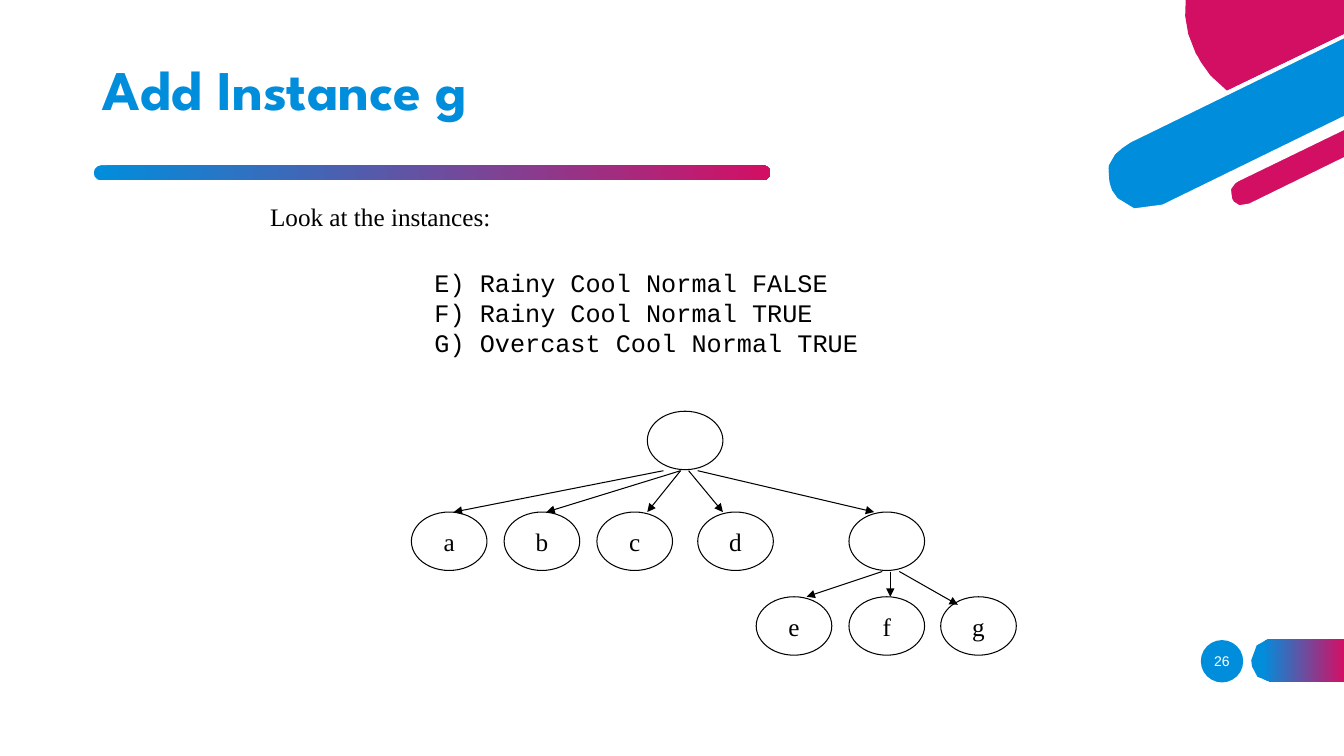
"""Build the slide that adds instance g to a clustering tree."""
from lxml.etree import SubElement
from pptx import Presentation
from pptx.dml.color import RGBColor
from pptx.enum.shapes import MSO_CONNECTOR, MSO_SHAPE
from pptx.enum.text import MSO_ANCHOR, PP_ALIGN
from pptx.oxml.ns import qn
from pptx.util import Inches, Pt

OVAL, ROUND = MSO_SHAPE.OVAL, MSO_SHAPE.ROUNDED_RECTANGLE
LINE = MSO_CONNECTOR.STRAIGHT
MIDDLE, TOP = MSO_ANCHOR.MIDDLE, MSO_ANCHOR.TOP
CENTER, LEFT = PP_ALIGN.CENTER, PP_ALIGN.LEFT
BLUE = RGBColor(0x00, 0x8E, 0xDC)
PINK = RGBColor(0xD3, 0x0F, 0x64)
WHITE = RGBColor(255, 255, 255)
BLACK = RGBColor(0, 0, 0)

SERIF = dict(name="Times New Roman", size=Pt(18), color=BLACK)
CODE = dict(name="Courier New", size=Pt(18), color=BLACK)
HEAD = dict(name="League Spartan", size=Pt(40), color=BLUE, bold=True)
PAGE = dict(name="Arial", size=Pt(10), color=WHITE)

TEXTS = [
    ((11.82, 6.36, 0.6, 0.4), ["26"], PAGE, MIDDLE, CENTER, True),
    ((0.92, 0.4, 9.9, 1.03), ["Add Instance g"], HEAD, MIDDLE, LEFT, True, 0.9),
    ((2.58, 1.95, 2.41, 0.4), ["Look at the instances:"], SERIF, TOP, LEFT, False),
    ((4.21, 2.6, 4.42, 1.01),
     ["E) Rainy Cool Normal FALSE",
      "F) Rainy Cool Normal TRUE",
      "G) Overcast Cool Normal TRUE"], CODE, TOP, LEFT, False),
]
NODE = (0.75, 0.58)
LEVELS = [
    (4.08, [(6.42, "")]),
    (5.08, [(4.08, "a"), (5, "b"), (5.92, "c"), (6.92, "d"), (8.42, "")]),
    (5.92, [(7.5, "e"), (8.42, "f"), (9.33, "g")]),
]
FANS = [
    (4.67, [(6.58, 4.5, 5.08), (6.75, 5.42, 5.08), (6.75, 6.42, 5.08),
            (6.83, 7.17, 5.08), (6.92, 8.67, 5.08)]),
    (5.67, [(8.75, 8, 5.92), (8.83, 8.83, 5.92), (8.92, 9.5, 6)]),
]
TAB = [(12.62, 6.77), (13.33, 6.77), (13.33, 6.34), (12.62, 6.34),
       (12.62, 6.34, 12.41, 6.34, 12.41, 6.55),
       (12.41, 6.56, 12.41, 6.77, 12.62, 6.77)]
SHAPES = [
    (WHITE, [(13.33, 0.81), (13.06, 0.94), (12.74, 1.1, 12.44, 1.08, 12.19, 0.89),
             (11.99, 0.74, 11.89, 0.55, 11.89, 0.55),
             (11.79, 0.34, 11.75, 0.16, 11.78, 0), (11.74, 0),
             (11.71, 0.17, 11.75, 0.35, 11.84, 0.54),
             (11.86, 0.58, 11.96, 0.77, 12.16, 0.92),
             (12.28, 1.01, 12.44, 1.09, 12.65, 1.09),
             (12.77, 1.09, 12.91, 1.06, 13.08, 0.98), (13.33, 0.86)]),
    (BLUE, [(11.21, 1.39), (11.21, 1.39, 10.85, 1.57, 11.01, 1.89),
            (11.01, 1.9, 11.17, 2.22, 11.54, 2.04), (13.33, 1.17), (13.33, 0.36)]),
    (PINK, [(11.88, 0.56), (11.88, 0.56, 11.97, 0.76, 12.17, 0.9), (13.33, 0.34),
            (13.33, 0), (11.76, 0), (11.74, 0.15, 11.76, 0.33, 11.86, 0.53)]),
    (PINK, [(13.33, 1.26), (12.27, 1.78), (12.27, 1.78, 12.13, 1.85, 12.2, 1.97),
            (12.2, 1.98, 12.26, 2.11, 12.4, 2.04), (13.33, 1.58)]),
    (WHITE, [(12.39, 2.02), (12.27, 2.08, 12.22, 1.98, 12.22, 1.97),
             (12.16, 1.86, 12.28, 1.8, 12.28, 1.8), (13.33, 1.29), (13.33, 1.24),
             (12.26, 1.76), (12.26, 1.76, 12.19, 1.8, 12.17, 1.87),
             (12.15, 1.91, 12.16, 1.95, 12.18, 1.99),
             (12.2, 2.03, 12.25, 2.08, 12.32, 2.08),
             (12.35, 2.08, 12.38, 2.08, 12.41, 2.06), (13.33, 1.61), (13.33, 1.56)]),
    (WHITE, [(11.53, 2.03), (11.19, 2.19, 11.03, 1.9, 11.03, 1.89),
             (10.96, 1.75, 10.97, 1.64, 11.06, 1.53),
             (11.13, 1.46, 11.22, 1.41, 11.22, 1.41), (13.33, 0.38), (13.33, 0.34),
             (11.2, 1.37), (11.19, 1.38, 11.02, 1.46, 10.96, 1.63),
             (10.93, 1.71, 10.94, 1.8, 10.99, 1.9),
             (10.99, 1.91, 11.1, 2.12, 11.33, 2.12),
             (11.39, 2.12, 11.46, 2.1, 11.54, 2.06), (13.33, 1.19), (13.33, 1.15)]),
]


def inches(nums):
    return [Inches(n) for n in nums]


def trace(steps, cuts=3):
    """Turn corners and cubic curves into a list of points."""
    dots = [steps[0]]
    for step in steps[1:]:
        if len(step) == 2:
            dots.append(step)
            continue
        ends = [dots[-1], step[:2], step[2:4], step[4:]]
        for i in range(1, cuts + 1):
            t = i / cuts
            mix = ((1 - t) ** 3, 3 * t * (1 - t) ** 2, 3 * t * t * (1 - t), t ** 3)
            dots.append(tuple(sum(m * p[k] for m, p in zip(mix, ends)) for k in (0, 1)))
    return dots


def outline(slide, steps):
    dots = [inches(dot) for dot in trace(steps)]
    form = slide.shapes.build_freeform(*dots[0], scale=1.0)
    form.add_line_segments(dots[1:], close=True)
    return form.convert_to_shape()


def paint(shape, color):
    shape.shadow.inherit = False
    shape.line.fill.background()
    shape.fill.solid()
    shape.fill.fore_color.rgb = color


def blend(shape, start):
    shape.shadow.inherit = False
    shape.line.fill.background()
    shape.fill.gradient()
    shape.fill.gradient_angle = 0
    for stop, place, color in zip(shape.fill.gradient_stops, (start, 1), (BLUE, PINK)):
        stop.position = place
        stop.color.rgb = color


def write(shape, lines, style, anchor, align, wrap, pitch=None):
    frame = shape.text_frame
    frame.word_wrap = wrap
    frame.vertical_anchor = anchor
    frame.text = "\n".join(lines)
    for para in frame.paragraphs:
        para.alignment = align
        para.line_spacing = pitch
        for key, value in style.items():
            if key == "color":
                para.font.color.rgb = value
            else:
                setattr(para.font, key, value)


def node(slide, left, top, label):
    oval = slide.shapes.add_shape(OVAL, *inches((left, top, *NODE)))
    oval.shadow.inherit = False
    oval.fill.background()
    oval.line.color.rgb = BLACK
    oval.line.width = Pt(0.75)
    if label:
        write(oval, [label], SERIF, MIDDLE, CENTER, False)


def arrow(slide, *ends):
    link = slide.shapes.add_connector(LINE, *inches(ends))
    link.line.color.rgb = BLACK
    link.line.width = Pt(0.75)
    SubElement(link.line._get_or_add_ln(), qn("a:tailEnd"), type="triangle")
    SubElement(link._element.spPr, qn("a:effectLst"))


def main():
    deck = Presentation()
    deck.slide_width, deck.slide_height = inches((13.33, 7.5))
    slide = deck.slides.add_slide(deck.slide_layouts[6])
    paint(slide.shapes.add_shape(OVAL, *inches((11.91, 6.35, 0.42, 0.42))), BLUE)
    blend(outline(slide, TAB), 0.12)
    for color, steps in SHAPES:
        paint(outline(slide, steps), color)
    rule = slide.shapes.add_shape(ROUND, *inches((0.93, 1.64, 6.71, 0.15)))
    rule.adjustments[0] = 0.5
    blend(rule, 0)
    for top, row in LEVELS:
        for left, label in row:
            node(slide, left, top, label)
    for top, fan in FANS:
        for left, right, low in fan:
            arrow(slide, left, top, right, low)
    for place, *rest in TEXTS:
        write(slide.shapes.add_textbox(*inches(place)), *rest)
    deck.save("out.pptx")


if __name__ == "__main__":
    main()
